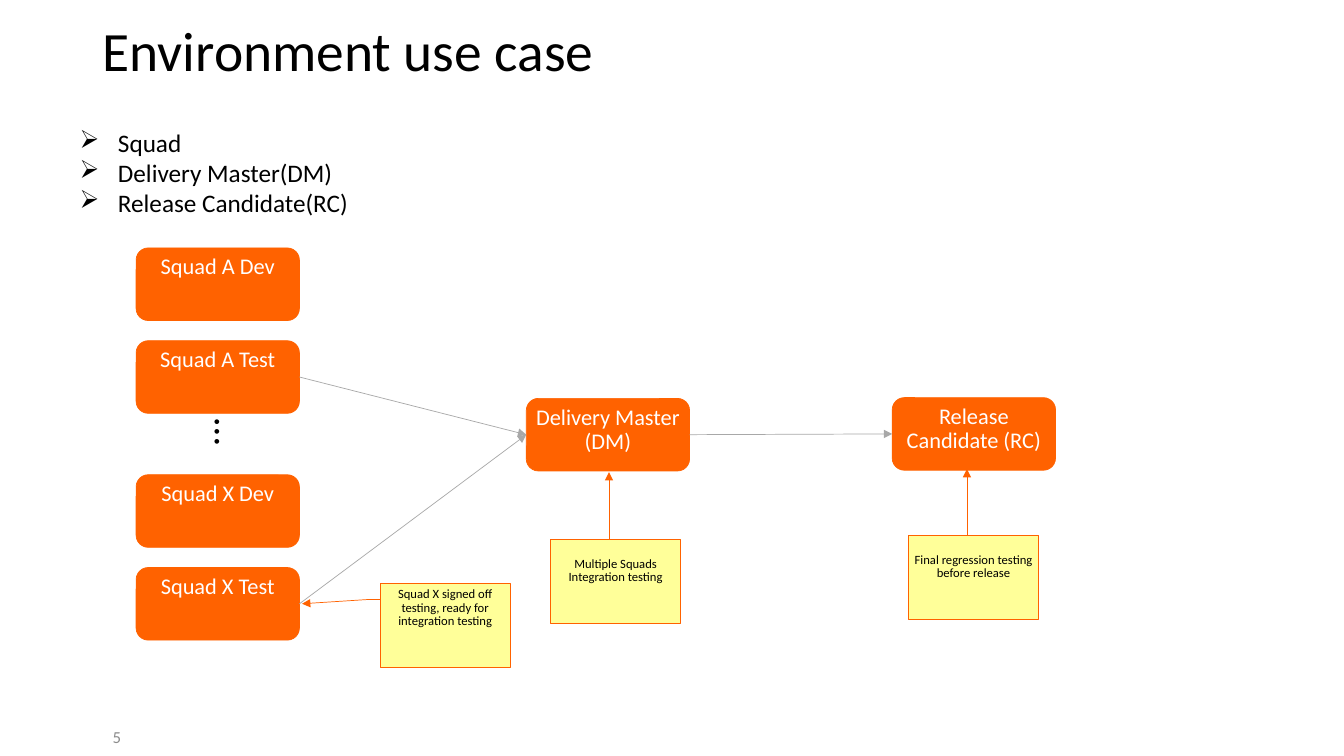
from pptx import Presentation
from pptx.dml.color import RGBColor
from pptx.enum.shapes import MSO_CONNECTOR, MSO_SHAPE
from pptx.enum.text import MSO_ANCHOR, PP_ALIGN
from pptx.oxml.ns import qn
from pptx.util import Inches, Pt
from lxml import etree

ROUND, CALLOUT = MSO_SHAPE.ROUNDED_RECTANGLE, MSO_SHAPE.LINE_CALLOUT_2
STRAIGHT = MSO_CONNECTOR.STRAIGHT
LEFT, CENTER = PP_ALIGN.LEFT, PP_ALIGN.CENTER
TOP, MIDDLE = MSO_ANCHOR.TOP, MSO_ANCHOR.MIDDLE
SIDE_LEFT, SIDE_RIGHT = 1, 3

COLORS = {"orange": "FF6200", "yellow": "FFFF99", "grey": "A8A8A8",
          "number": "8C8C8C", "black": "000000", "white": "FFFFFF"}
FONT = "Calibri"
INSET = 0.04
NODE_W, NODE_H = 12.15, 9.6
NOTE_W, NOTE_H = 9.68, 11.1


def rgb(name):
    return RGBColor.from_string(COLORS[name])


class Board:
    """Draws on one slide; positions and sizes are percent of the slide."""

    def __init__(self, prs):
        self.prs = prs
        self.shapes = prs.slides.add_slide(prs.slide_layouts[6]).shapes

    def box(self, x, y, w, h):
        width, height = self.prs.slide_width, self.prs.slide_height
        return [round(share * size / 100) for share, size in
                ((x, width), (y, height), (w, width), (h, height))]

    def fill_text(self, sp, text, size, color="black", align=CENTER,
                  anchor=TOP, spacing=0.9, inset=INSET, top=INSET):
        tf = sp.text_frame
        tf.word_wrap = True
        tf.vertical_anchor = anchor
        tf.margin_left = tf.margin_right = tf.margin_bottom = Inches(inset)
        tf.margin_top = Inches(top)
        tf.text = text
        for p in tf.paragraphs:
            p.alignment = align
            p.line_spacing = spacing
            for r in p.runs:
                r.font.name, r.font.size = FONT, Pt(size)
                r.font.color.rgb = rgb(color)

    def text(self, place, text, size, **style):
        sp = self.shapes.add_textbox(*self.box(*place))
        self.fill_text(sp, text, size, **style)
        return sp

    def bullets(self, place, items, size, top):
        sp = self.text(place, "\n".join(items), size, align=LEFT,
                       spacing=1, top=top)
        indent = Inches(0.38)
        for p in sp.text_frame.paragraphs:
            pPr = p._p.get_or_add_pPr()
            pPr.set("marL", str(indent))
            pPr.set("indent", str(-indent))
            etree.SubElement(pPr, qn("a:buChar"), char="➢")

    def shape(self, kind, place, fill):
        sp = self.shapes.add_shape(kind, *self.box(*place))
        sp.shadow.inherit = False
        sp.fill.solid()
        sp.fill.fore_color.rgb = rgb(fill)
        self.stroke(sp, "orange")
        return sp

    def stroke(self, sp, color):
        sp.line.color.rgb = rgb(color)
        sp.line.width = Pt(0.5)

    def arrowhead(self, sp):
        ln = sp._element.spPr.find(qn("a:ln"))
        etree.SubElement(ln, qn("a:tailEnd"), type="triangle")

    def node(self, x, y, text):
        sp = self.shape(ROUND, (x, y, NODE_W, NODE_H), "orange")
        self.fill_text(sp, text, 16, color="white")
        return sp

    def note(self, x, y, text, pointer, top=INSET):
        """Callout whose pointer is a list of adjustment shares."""
        sp = self.shape(CALLOUT, (x, y, NOTE_W, NOTE_H), "yellow")
        for i, share in enumerate(pointer):
            sp.adjustments[i] = share
        self.arrowhead(sp)
        self.fill_text(sp, text, 9, top=top)

    def arrow(self, start, end):
        line = self.shapes.add_connector(STRAIGHT, 0, 0, 0, 0)
        line.begin_connect(start, SIDE_RIGHT)
        line.end_connect(end, SIDE_LEFT)
        self.stroke(line, "grey")
        self.arrowhead(line)
        etree.SubElement(line._element.spPr, qn("a:effectLst"))


def main():
    prs = Presentation()
    prs.slide_width, prs.slide_height = Inches(13.33), Inches(7.5)
    board = Board(prs)

    board.text((6.9, 3.47, 86.27, 8), "Environment use case", 39.6,
               align=LEFT, anchor=MIDDLE, inset=0.1, top=0.05)
    board.text((6.68, 96, 4.05, 2.8), "5", 12, color="number",
               anchor=MIDDLE, spacing=1, inset=0.05, top=0.05)
    board.bullets((5.63, 13.07, 56.34, 16.27),
                  ["Squad", "Delivery Master(DM)", "Release Candidate(RC)"],
                  18, top=0.28)

    tests = []
    for squad, y in (("A", 32.8), ("X", 62.8)):
        board.node(10.13, y, f"Squad {squad} Dev")
        tests.append(board.node(10.13, y + 12.27, f"Squad {squad} Test"))
    dots = board.text((15.08, 54.8, 4.13, 8.13), "…", 28, spacing=1)
    dots.text_frame._txBody.bodyPr.set("vert", "eaVert")

    master = board.node(39.16, 52.7, "Delivery Master (DM)")
    release = board.node(66.39, 52.6, "Release Candidate (RC)")
    for test in tests:
        board.arrow(test, master)
    board.arrow(master, release)

    board.note(28.28, 77.2,
               "Squad X signed off testing, ready for integration testing",
               [0.19, 0, 0.19, -0.1, 0.24, -0.6])
    for x, y, text, tip in (
            (40.96, 71.33, "Multiple Squads Integration testing", -0.8),
            (67.59, 70.8, "Final regression testing before release", -0.79)):
        board.note(x, y, text, [0, 0.5, 0, 0.45, tip, 0.45], top=0.18)

    prs.save("out.pptx")


if __name__ == "__main__":
    main()
